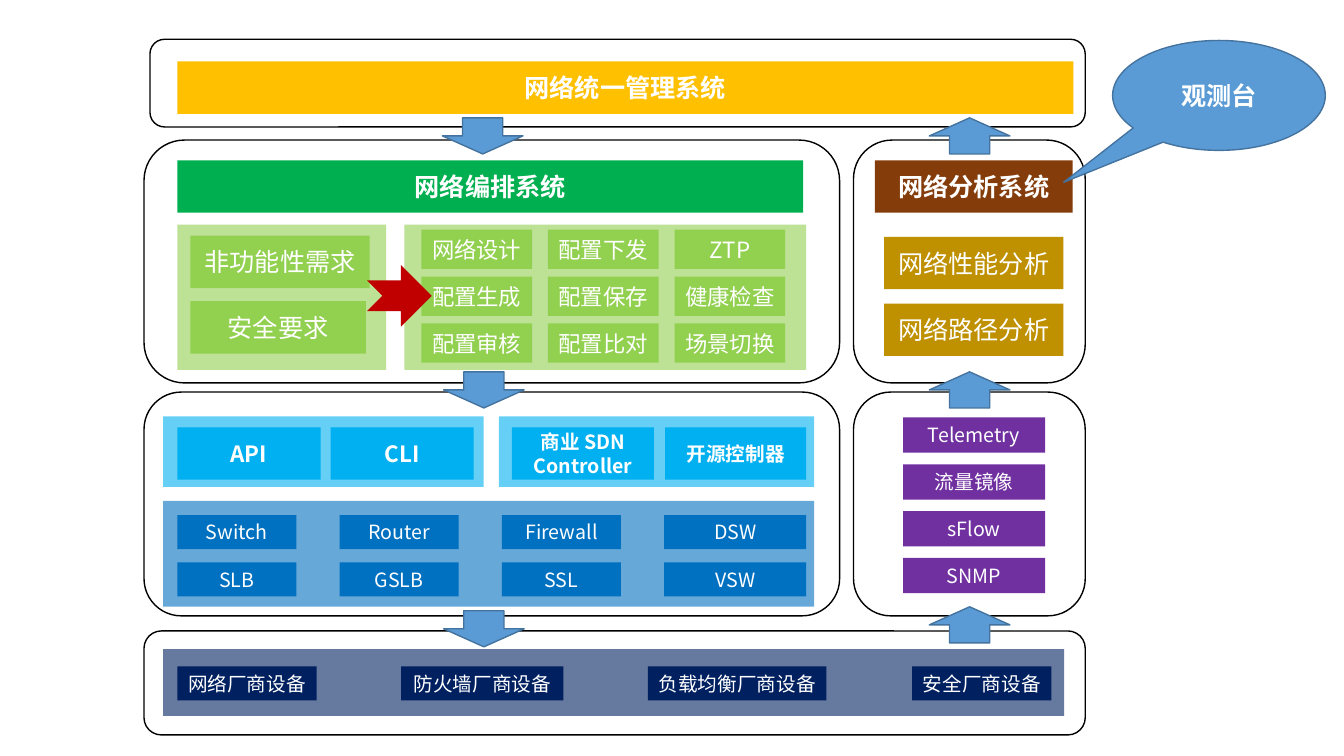
from dataclasses import dataclass

from lxml.etree import SubElement
from pptx import Presentation
from pptx.dml.color import RGBColor
from pptx.enum.shapes import MSO_SHAPE
from pptx.enum.text import MSO_ANCHOR, PP_ALIGN
from pptx.oxml.ns import qn
from pptx.util import Cm, Pt


@dataclass(frozen=True)
class Theme:
    """Colours, type sizes and font of the diagram."""
    font: str = "Noto Sans CJK SC"
    heading: int = 18
    step: int = 16
    label: int = 14
    text: str = "FFFFFF"
    frame: str = "000000"
    management: str = "FFC000"
    orchestration: str = "00B050"
    process: str = "92D050"
    analysis: str = "843C0B"
    analysis_item: str = "BF9000"
    interface: str = "00B0F0"
    device: str = "0070C0"
    vendor: str = "002060"
    telemetry: str = "7030A0"
    flow: str = "5B9BD5"
    flow_edge: str = "43739E"
    requirement_flow: str = "C00000"
    panel_alpha: int = 60


def write_text(shape, text, *, font, size, color, bold=False):
    """Write centred text with the given format into a shape."""
    frame = shape.text_frame
    frame.word_wrap = True
    frame.vertical_anchor = MSO_ANCHOR.MIDDLE
    frame.margin_left = frame.margin_right = Cm(0.2)
    frame.margin_top = frame.margin_bottom = 0
    paragraph = frame.paragraphs[0]
    paragraph.alignment = PP_ALIGN.CENTER
    run = paragraph.add_run()
    run.text = text
    run.font.size = Pt(size)
    run.font.bold = bold
    run.font.color.rgb = RGBColor.from_string(color)
    run.font.name = font
    SubElement(run.font._element, qn("a:ea")).set("typeface", font)


class Diagram:
    """Draws the elements of the architecture on one slide."""

    def __init__(self, slide, theme):
        """Keep the slide and its style."""
        self.slide = slide
        self.theme = theme

    def shape(self, kind, left, top, width, height, fill=None, line=None):
        """Add a preset shape, with lengths in centimetres."""
        added = self.slide.shapes.add_shape(
            kind, Cm(left), Cm(top), Cm(width), Cm(height))
        added.shadow.inherit = False
        if fill:
            added.fill.solid()
            added.fill.fore_color.rgb = RGBColor.from_string(fill)
        else:
            added.fill.background()
        if line:
            added.line.color.rgb = RGBColor.from_string(line)
            added.line.width = Pt(1)
        else:
            added.line.fill.background()
        return added

    def frame(self, *place):
        """Add the rounded outline of a layer."""
        self.shape(MSO_SHAPE.ROUNDED_RECTANGLE, *place, line=self.theme.frame)

    def panel(self, color, *place):
        """Add a translucent panel behind a group of boxes."""
        panel = self.shape(MSO_SHAPE.RECTANGLE, *place, fill=color)
        tint = panel.fill._xPr.find(qn("a:solidFill"))[0]
        alpha = str(self.theme.panel_alpha * 1000)
        SubElement(tint, qn("a:alpha")).set("val", alpha)

    def box(self, text, color, size, *place, bold=False):
        """Add a filled box with a label."""
        box = self.shape(MSO_SHAPE.RECTANGLE, *place, fill=color)
        write_text(box, text, font=self.theme.font, size=size,
                   color=self.theme.text, bold=bold)

    def flow(self, left, top, rotation=0):
        """Add a block arrow between two layers."""
        arrow = self.shape(MSO_SHAPE.DOWN_ARROW, left, top, 2.03, 0.91,
                           self.theme.flow, self.theme.flow_edge)
        arrow.rotation = rotation

    def callout(self, text, *place, tip):
        """Add an elliptical callout pointing at tip."""
        callout = self.shape(MSO_SHAPE.OVAL_CALLOUT, *place,
                             self.theme.flow, self.theme.flow_edge)
        callout.adjustments[0], callout.adjustments[1] = tip
        write_text(callout, text, font=self.theme.font,
                   size=self.theme.heading, color=self.theme.text, bold=True)


def draw_layers(diagram, theme):
    """Draw the layer outlines, panels and headings."""
    for place in [(3.78, 0.99, 23.57, 2.21), (3.63, 15.9, 23.72, 2.62)]:
        diagram.frame(*place)
    for left, width in [(3.63, 17.53), (21.51, 5.84)]:
        for top, height in [(3.53, 6.12), (9.88, 5.64)]:
            diagram.frame(left, top, width, height)
    for color, *place in [
        (theme.process, 4.47, 5.66, 5.26, 3.66),
        (theme.process, 10.19, 5.66, 10.13, 3.66),
        (theme.interface, 4.11, 10.49, 8.08, 1.78),
        (theme.interface, 12.57, 10.49, 7.95, 1.78),
        (theme.device, 4.11, 12.62, 16.41, 2.67),
        (theme.vendor, 4.11, 16.36, 22.71, 1.68),
    ]:
        diagram.panel(color, *place)
    for text, color, left, top, width in [
        ("网络统一管理系统", theme.management, 4.47, 1.55, 22.58),
        ("网络编排系统", theme.orchestration, 4.47, 4.04, 15.77),
        ("网络分析系统", theme.analysis, 22.05, 4.04, 4.98),
    ]:
        diagram.box(text, color, theme.heading, left, top, width, 1.32,
                    bold=True)


def draw_systems(diagram, theme):
    """Draw the contents of orchestration and analysis."""
    for text, color, left, top, width in [
        ("非功能性需求", theme.process, 4.8, 5.94, 4.52),
        ("安全要求", theme.process, 4.8, 7.59, 4.42),
        ("网络性能分析", theme.analysis_item, 22.28, 5.97, 4.52),
        ("网络路径分析", theme.analysis_item, 22.28, 7.65, 4.52),
    ]:
        diagram.box(text, color, theme.heading, left, top, width, 1.32)
    steps = [("网络设计", "配置下发", "ZTP"),
             ("配置生成", "配置保存", "健康检查"),
             ("配置审核", "配置比对", "场景切换")]
    for row, names in enumerate(steps):
        for column, name in enumerate(names):
            diagram.box(name, theme.process, theme.step, 10.62 + 3.19 * column,
                        5.79 + 1.18 * row, 2.79, 0.99)


def draw_network(diagram, theme):
    """Draw the interfaces, devices, telemetry sources and vendors."""
    for text, size, left, width in [
        ("API", theme.step, 4.47, 3.61),
        ("CLI", theme.step, 8.33, 3.61),
        ("商业 SDN Controller", theme.label, 12.9, 3.58),
        ("开源控制器", theme.label, 16.76, 3.56),
    ]:
        diagram.box(text, theme.interface, size, left, 10.77, width, 1.32,
                    bold=True)
    devices = [("Switch", "Router", "Firewall", "DSW"),
               ("SLB", "GSLB", "SSL", "VSW")]
    widths = (3, 3, 3, 3.58)
    for row, names in enumerate(devices):
        for column, (name, width) in enumerate(zip(names, widths)):
            diagram.box(name, theme.device, theme.label, 4.47 + 4.09 * column,
                        12.98 + 1.19 * row, width, 0.86)
    for row, source in enumerate(["Telemetry", "流量镜像", "sFlow", "SNMP"]):
        diagram.box(source, theme.telemetry, theme.label, 22.76,
                    10.52 + 1.18 * row, 3.58, 0.89)
    for vendor, left, width in [
        ("网络厂商设备", 4.47, 3.51),
        ("防火墙厂商设备", 10.11, 4.09),
        ("负载均衡厂商设备", 16.33, 4.5),
        ("安全厂商设备", 22.99, 3.51),
    ]:
        diagram.box(vendor, theme.vendor, theme.label, left, 16.79, width, 0.86)


def draw_flows(diagram, theme):
    """Draw the arrows between parts and the callout."""
    for left, top in [(11.15, 2.97), (11.18, 9.37), (11.18, 15.39)]:
        diagram.flow(left, top)
    for top in (2.97, 9.37, 15.29):
        diagram.flow(23.42, top, rotation=180)
    diagram.shape(MSO_SHAPE.NOTCHED_RIGHT_ARROW, 9.25, 6.68, 1.63, 1.55,
                  theme.requirement_flow)
    diagram.callout("观测台", 28.04, 1.02, 5.36, 2.77, tip=(-0.73, 0.79))


def main():
    """Build the slide and save it."""
    deck = Presentation()
    deck.slide_width, deck.slide_height = Cm(33.87), Cm(19.05)
    theme = Theme()
    blank = deck.slide_layouts[6]
    diagram = Diagram(deck.slides.add_slide(blank), theme)
    for draw in (draw_layers, draw_systems, draw_network, draw_flows):
        draw(diagram, theme)
    deck.save("out.pptx")


main()
